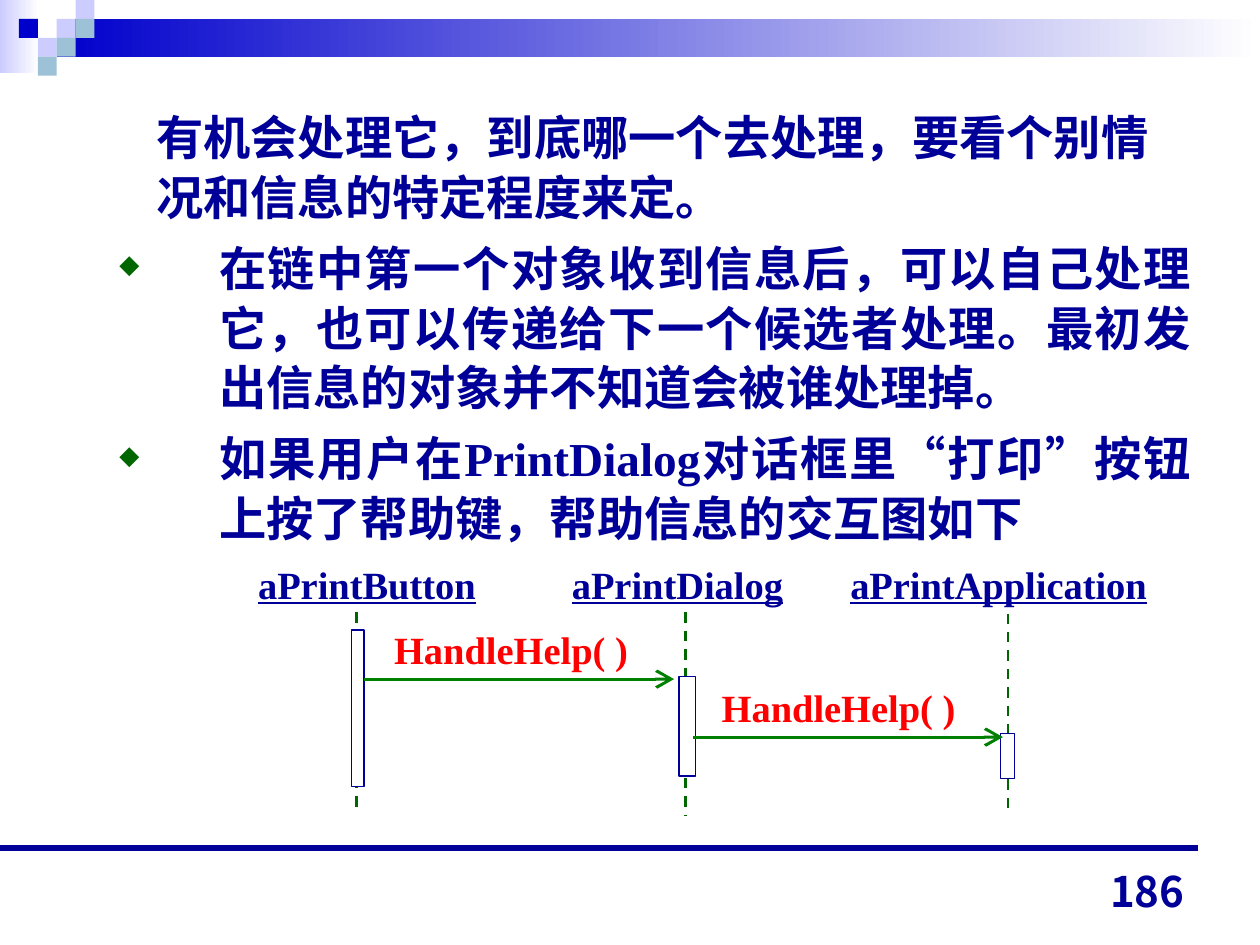
from lxml import etree
from pptx import Presentation
from pptx.dml.color import RGBColor
from pptx.enum.dml import MSO_LINE
from pptx.enum.shapes import MSO_CONNECTOR, MSO_SHAPE
from pptx.enum.text import MSO_ANCHOR, PP_ALIGN
from pptx.oxml.ns import qn
from pptx.util import Inches, Pt

RECTANGLE = MSO_SHAPE.RECTANGLE
STRAIGHT = MSO_CONNECTOR.STRAIGHT
DASH = MSO_LINE.DASH
LEFT, RIGHT, JUSTIFY = PP_ALIGN.LEFT, PP_ALIGN.RIGHT, PP_ALIGN.JUSTIFY
TOP, BOTTOM = MSO_ANCHOR.TOP, MSO_ANCHOR.BOTTOM

NAVY = RGBColor(0x00, 0x00, 0x99)
BLUE = RGBColor(0x00, 0x00, 0xCC)
LAVENDER = RGBColor(0xCC, 0xCC, 0xFF)
TEAL = RGBColor(0x9D, 0xC2, 0xD7)
WHITE = RGBColor(0xFF, 0xFF, 0xFF)
RED = RGBColor(0xFF, 0x00, 0x00)
DARK_GREEN = RGBColor(0x00, 0x66, 0x00)
GREEN = RGBColor(0x00, 0x80, 0x00)
SERIF = "Times New Roman"
SANS = "Noto Sans CJK JP"

presentation = Presentation()
presentation.slide_width = Inches(10)
presentation.slide_height = Inches(7.5)
slide = presentation.slides.add_slide(presentation.slide_layouts[6])


def add_text(text, left, top, width, height, size=22, color=NAVY, font=SERIF,
             align=LEFT, anchor=TOP, wrap=False, underline=None):
    box = slide.shapes.add_textbox(Inches(left), Inches(top), Inches(width), Inches(height))
    frame = box.text_frame
    frame.word_wrap = wrap
    frame.vertical_anchor = anchor
    frame.text = text
    for paragraph in frame.paragraphs:
        paragraph.alignment = align
        for run in paragraph.runs:
            run.font.size = Pt(size)
            run.font.name = font
            run.font.bold = True
            run.font.underline = underline
            run.font.color.rgb = color
            east_asian = etree.SubElement(run.font._element, qn("a:ea"))
            east_asian.set("typeface", SANS)
    return frame


def add_line(start, end, color, width, dash=None, arrow=False):
    line = slide.shapes.add_connector(STRAIGHT, *[Inches(value) for value in start + end])
    line.line.color.rgb = color
    line.line.width = Pt(width)
    if dash:
        line.line.dash_style = dash
    if arrow:
        head = etree.SubElement(line.line._get_or_add_ln(), qn("a:tailEnd"))
        head.set("type", "arrow")
        head.set("w", "lg")
        head.set("len", "lg")
    etree.SubElement(line._element.spPr, qn("a:effectLst"))


# Header: fading bands, then the mosaic of small squares
for left, top, width, height, color in [(0, 0, 0.31, 0.58, LAVENDER),
                                        (0.45, 0.15, 9.55, 0.3, BLUE)]:
    band = slide.shapes.add_shape(RECTANGLE, Inches(left), Inches(top),
                                  Inches(width), Inches(height))
    band.shadow.inherit = False
    band.line.fill.background()
    band.fill.gradient()
    band.fill.gradient_angle = 0
    for stop, stop_color in zip(band.fill.gradient_stops, (color, WHITE)):
        stop.color.rgb = stop_color

SQUARE = 0.15
for column, row, color in [(3, 1, LAVENDER), (4, 0, LAVENDER), (4, 1, TEAL), (2, 2, LAVENDER),
                           (1, 1, BLUE), (3, 2, TEAL), (2, 3, TEAL)]:
    square = slide.shapes.add_shape(RECTANGLE, Inches(column * SQUARE), Inches(row * SQUARE),
                                    Inches(SQUARE), Inches(SQUARE))
    square.shadow.inherit = False
    square.line.fill.background()
    square.fill.solid()
    square.fill.fore_color.rgb = color

# Footer rule and page number
add_line((0, 6.73), (9.51, 6.73), NAVY, 3.25)
add_text("186", 7.17, 6.82, 2.33, 0.5, size=24, font=SANS, align=RIGHT, anchor=BOTTOM, wrap=True)

# Body: a continued sentence followed by two bullets
body = add_text(
    "有机会处理它，到底哪一个去处理，要看个别情况和信息的特定程度来定。\n"
    "在链中第一个对象收到信息后，可以自己处理它，也可以传递给下一个候选者处理。"
    "最初发出信息的对象并不知道会被谁处理掉。\n"
    "如果用户在PrintDialog对话框里“打印”按钮上按了帮助键，帮助信息的交互图如下",
    0.56, 0.79, 8.99, 5.9, size=27, wrap=True)
for index, paragraph in enumerate(body.paragraphs):
    paragraph.line_spacing = Pt(34)
    properties = paragraph._p.get_or_add_pPr()
    if index == 0:
        properties.set("marL", str(Inches(0.58)))
        continue
    paragraph.alignment = JUSTIFY
    paragraph.space_before = Pt(6.8)
    paragraph.level = 1
    properties.set("marL", str(Inches(1.08)))
    properties.set("indent", str(Inches(-0.79)))
    bullet_color = etree.SubElement(properties, qn("a:buClr"))
    etree.SubElement(bullet_color, qn("a:srgbClr")).set("val", str(DARK_GREEN))
    etree.SubElement(properties, qn("a:buSzPct")).set("val", "55000")
    etree.SubElement(properties, qn("a:buChar")).set("char", "◆")

# Sequence diagram: object name, lifeline and activation bar
for name, name_left, name_width, x, top, bottom, bar in [
    ("aPrintButton", 1.95, 2.2, 2.83, 4.86, 6.46, (2.79, 5, 0.1, 1.24)),
    ("aPrintDialog", 4.44, 2.2, 5.44, 4.86, 6.47, (5.39, 5.37, 0.13, 0.79)),
    ("aPrintApplication", 6.65, 2.8, 8, 4.87, 6.43, (7.94, 5.82, 0.11, 0.36)),
]:
    add_text(name, name_left, 4.4, name_width, 0.47, underline=True, wrap=True)
    add_line((x, top), (x, bottom), DARK_GREEN, 1.5, dash=DASH)
    activation = slide.shapes.add_shape(RECTANGLE, *[Inches(value) for value in bar])
    activation.shadow.inherit = False
    activation.fill.solid()
    activation.fill.fore_color.rgb = WHITE
    activation.line.color.rgb = NAVY
    activation.line.width = Pt(0.75)

# Messages between the objects
for left, right, y, label_left in [(2.89, 5.35, 5.39, 3.03), (5.5, 7.96, 5.85, 5.63)]:
    add_text("HandleHelp( )", label_left, y - 0.47, 2.3, 0.47, color=RED, wrap=True)
    add_line((left, y), (right, y), GREEN, 1.75, arrow=True)

presentation.save("out.pptx")
